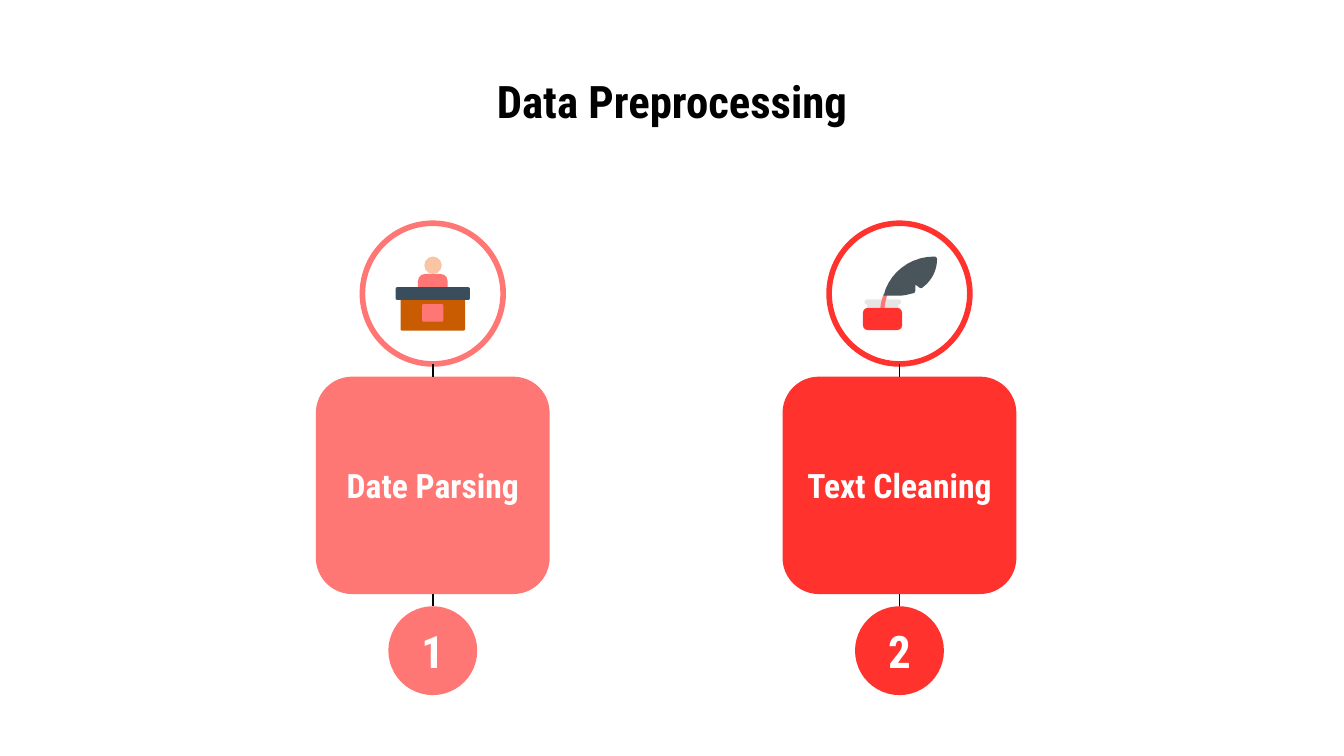
import pptx
import pptx.util
import pptx.dml.color
import pptx.enum.shapes
import pptx.enum.text
import pptx.oxml.ns
import lxml.etree

Cm = pptx.util.Cm
Kind = pptx.enum.shapes.MSO_SHAPE
Anchor = pptx.enum.text.MSO_ANCHOR

# Content
TITLE = "Data Preprocessing"
CORAL, RED, WHITE, BLACK = "FF7774", "FF322E", "FFFFFF", "000000"

# Icon parts: x is measured from the column centre, y from the slide top (cm)
# Preset part: kind, (x, y, width, height), colour, adjustments
SPEAKER_DESK = [
    (Kind.ROUND_2_SAME_RECTANGLE, (-0.28, 5.18, 0.56, 0.26), CORAL, (0.5, 0)),
    (Kind.OVAL, (-0.16, 4.85, 0.33, 0.33), "FAC5A5", ()),
    (Kind.ROUND_2_SAME_RECTANGLE, (-0.61, 5.66, 1.22, 0.59), "C95B00", (0, 0.05)),
    (Kind.ROUNDED_RECTANGLE, (-0.7, 5.43, 1.4, 0.24), "394D5C", (0.12,)),
    (Kind.ROUNDED_RECTANGLE, (-0.2, 5.75, 0.4, 0.33), CORAL, (0.08,)),
]
# Outline part: "outline", start and segments (1 point = line, 3 = curve), colour
QUILL = [(-0.3, 5.56),
         [(-0.33, 5.66), (-0.36, 5.74), (-0.36, 5.84)],
         [(-0.28, 5.84)],
         [(-0.28, 5.74), (-0.25, 5.66), (-0.23, 5.56)]]
FEATHER = [(0.66, 4.85),
           [(0.2, 4.85), (-0.2, 5.16), (-0.3, 5.59)],
           [(0, 5.59)],
           [(0.1, 5.59), (0.18, 5.56), (0.28, 5.54)],
           [(0.28, 5.54), (0.3, 5.51), (0.3, 5.49)],
           [(0.3, 5.38)],
           [(0.38, 5.44)],
           [(0.4, 5.45), (0.42, 5.45), (0.43, 5.44)],
           [(0.61, 5.31), (0.71, 5.11), (0.71, 4.9)],
           [(0.71, 4.88), (0.69, 4.85), (0.66, 4.85)]]
INK_AND_QUILL = [
    (Kind.ROUNDED_RECTANGLE, (-0.66, 5.66, 0.69, 0.1), "E6E6E6", (0.5,)),
    (Kind.RECTANGLE, (-0.61, 5.74, 0.59, 0.1), "E6E6E6", ()),
    ("outline", QUILL, CORAL, ()),
    ("outline", FEATHER, "49545B", ()),
    (Kind.ROUNDED_RECTANGLE, (-0.69, 5.82, 0.74, 0.42), RED, (0.22,)),
]
STEPS = [("1", "Date Parsing", CORAL, SPEAKER_DESK),
         ("2", "Text Cleaning", RED, INK_AND_QUILL)]

# Layout (cm)
FIRST_CENTRE, COLUMN_STEP = 8.18, 8.82
RING_TOP, RING_SIZE = 4.22, 2.66
CARD_TOP, CARD_WIDTH, CARD_HEIGHT = 7.12, 4.42, 4.11
NUMBER_TOP, NUMBER_SIZE = 11.46, 1.68

deck = pptx.Presentation()
deck.slide_width, deck.slide_height = Cm(25.4), Cm(14.29)
slide = deck.slides.add_slide(deck.slide_layouts[6])


def rgb(value):
    return pptx.dml.color.RGBColor.from_string(value)


def write(holder, text, size=24, color=WHITE, anchor=Anchor.MIDDLE, margin=0.0):
    frame = holder.text_frame
    frame.word_wrap = True
    frame.vertical_anchor = anchor
    frame.margin_left = frame.margin_right = Cm(margin)
    frame.margin_top = frame.margin_bottom = Cm(margin)
    paragraph = frame.paragraphs[0]
    paragraph.text = text
    paragraph.alignment = pptx.enum.text.PP_ALIGN.CENTER
    font = paragraph.font
    font.name, font.size, font.bold = "Roboto Condensed", pptx.util.Pt(size), True
    font.color.rgb = rgb(color)


def paint(shape, fill, line=None):
    shape.shadow.inherit = False
    shape.fill.solid()
    shape.fill.fore_color.rgb = rgb(fill)
    if line:
        shape.line.color.rgb = rgb(line)
        shape.line.width = pptx.util.Pt(3)
    else:
        shape.line.fill.background()


def add_preset(kind, box, fill, line=None, adjustments=()):
    shape = slide.shapes.add_shape(kind, *map(Cm, box))
    for index, value in enumerate(adjustments):
        shape.adjustments[index] = value
    paint(shape, fill, line)
    return shape


def curve(p0, p1, p2, p3, parts=10):
    for i in range(1, parts + 1):
        t = i / parts
        weights = ((1 - t) ** 3, 3 * t * (1 - t) ** 2, 3 * t * t * (1 - t), t ** 3)
        yield tuple(sum(w * p[axis] for w, p in zip(weights, (p0, p1, p2, p3)))
                    for axis in (0, 1))


def add_outline(outline, centre, fill):
    points = [outline[0]]
    for segment in outline[1:]:
        points += segment if len(segment) == 1 else curve(points[-1], *segment)
    start, *rest = [(Cm(centre + x), Cm(y)) for x, y in points]
    builder = slide.shapes.build_freeform(*start)
    builder.add_line_segments(rest)
    paint(builder.convert_to_shape(), fill)


def add_link(centre, top, bottom):
    link = slide.shapes.add_connector(pptx.enum.shapes.MSO_CONNECTOR.STRAIGHT,
                                      Cm(centre), Cm(top), Cm(centre), Cm(bottom))
    link.line.color.rgb = rgb(BLACK)
    link.line.width = pptx.util.Pt(0.75)
    lxml.etree.SubElement(link.line._get_or_add_ln().getparent(),
                          pptx.oxml.ns.qn("a:effectLst"))
    return link


# Title
title = slide.shapes.add_textbox(Cm(1.27), Cm(1.14), Cm(22.86), Cm(1.6))
write(title, TITLE, color=BLACK, anchor=Anchor.TOP, margin=0.25)

# Columns: icon ring, card and number, joined by short links
for column, (number, label, color, icon) in enumerate(STEPS):
    centre = FIRST_CENTRE + column * COLUMN_STEP
    card = add_preset(Kind.ROUNDED_RECTANGLE,
                      (centre - CARD_WIDTH / 2, CARD_TOP, CARD_WIDTH, CARD_HEIGHT),
                      color, adjustments=(0.167,))
    write(card, label, size=18)
    add_preset(Kind.OVAL, (centre - RING_SIZE / 2, RING_TOP, RING_SIZE, RING_SIZE),
               WHITE, line=color)
    badge = add_preset(Kind.OVAL,
                       (centre - NUMBER_SIZE / 2, NUMBER_TOP, NUMBER_SIZE, NUMBER_SIZE),
                       color)
    write(badge, number)

    upper = add_link(centre, CARD_TOP, RING_TOP + RING_SIZE)
    upper.begin_connect(card, 0)
    lower = add_link(centre, CARD_TOP + CARD_HEIGHT, NUMBER_TOP)
    lower.begin_connect(card, 2)
    lower.end_connect(badge, 0)

    for kind, geometry, fill, adjustments in icon:
        if kind == "outline":
            add_outline(geometry, centre, fill)
        else:
            x, *rest = geometry
            add_preset(kind, (centre + x, *rest), fill, adjustments=adjustments)

deck.save("out.pptx")
